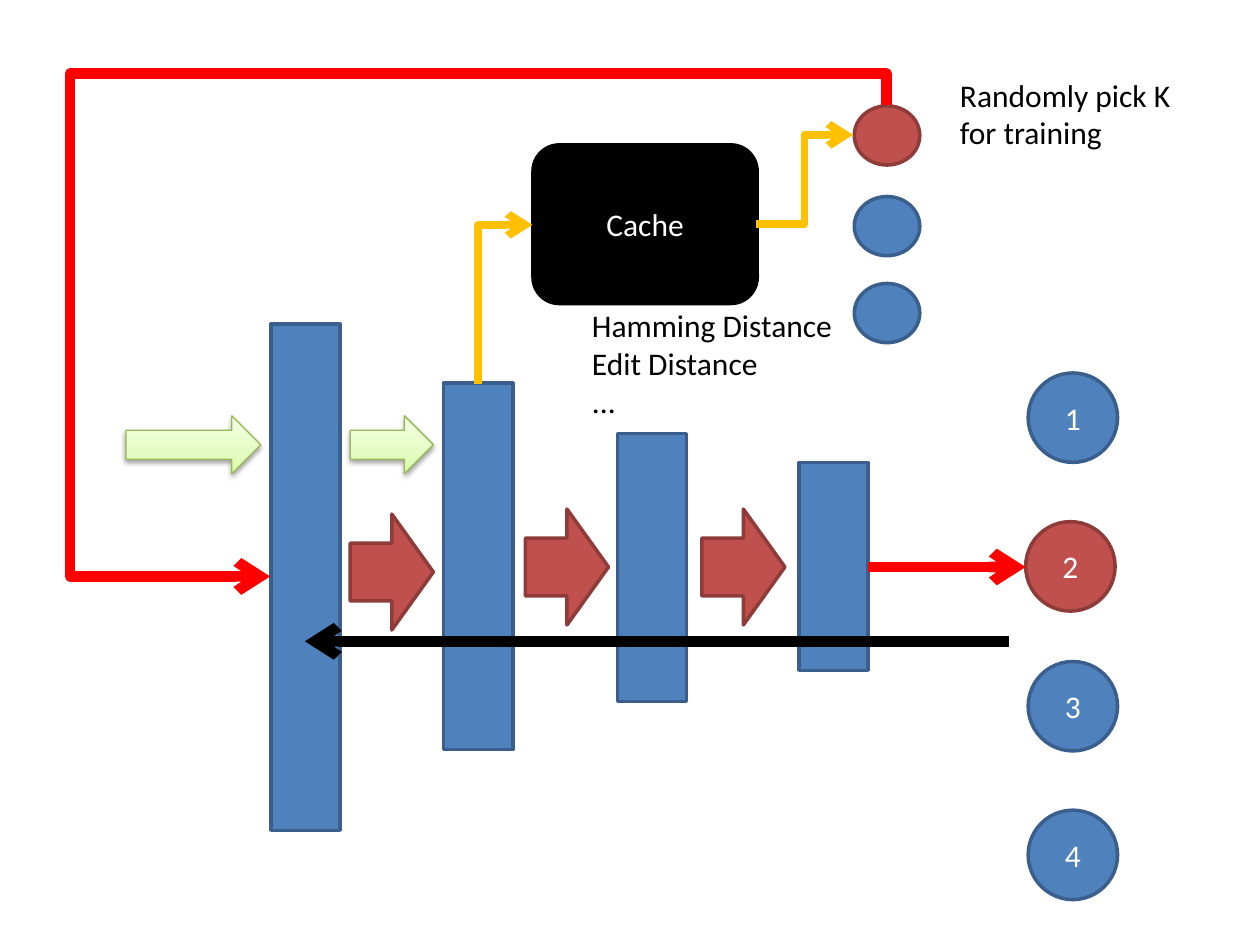
from lxml import etree
from pptx import Presentation, util as u
from pptx.dml.color import RGBColor
from pptx.enum import shapes, text
from pptx.oxml import parse_xml
from pptx.oxml.ns import nsdecls, qn

BLUE, BLUE_EDGE = RGBColor(0x4F, 0x81, 0xBD), RGBColor(0x3A, 0x5F, 0x8C)
BRICK, BRICK_EDGE = RGBColor(0xC0, 0x50, 0x4D), RGBColor(0x8E, 0x3B, 0x39)
GREEN_EDGE = RGBColor(0x98, 0xB9, 0x55)
GREENS = ((0, RGBColor(0xDA, 0xFD, 0xA7)), (35, RGBColor(0xE4, 0xFC, 0xC2)),
          (100, RGBColor(0xF5, 0xFF, 0xE7)))
BLACK, WHITE = RGBColor(0, 0, 0), RGBColor(255, 255, 255)
RED, AMBER = RGBColor(255, 0, 0), RGBColor(0xFF, 0xC0, 0)
KIND = shapes.MSO_SHAPE
COLUMNS, ROWS = 10, 7.5


def assign(target, values):
    for name, value in values.items():
        setattr(target, name, value)


class Diagram:
    """Style and current slide; lengths are columns and rows of the grid."""
    font = {"name": "Calibri", "size": u.Pt(18)}

    def __init__(self):
        self.deck = Presentation()
        assign(self.deck, {"slide_width": u.Inches(10), "slide_height": u.Inches(7.5)})
        self.page = self.deck.slides.add_slide(self.deck.slide_layouts[6])

    def place(self, left, top, width, height):
        column, row = self.deck.slide_width / COLUMNS, self.deck.slide_height / ROWS
        return [round(share * unit) for share, unit in
                ((left, column), (top, row), (width, column), (height, row))]

    def fill_text(self, frame, lines, color, align):
        for number, line in enumerate(lines):
            para = frame.add_paragraph() if number else frame.paragraphs[0]
            para.alignment = align
            span = para.add_run()
            span.text = line
            assign(span.font, self.font)
            span.font.color.rgb = color

    def block(self, kind, area, fill=BLUE, edge=BLUE_EDGE, label=None):
        box = self.page.shapes.add_shape(kind, *self.place(*area))
        box.shadow.inherit = False
        box.fill.solid()
        box.fill.fore_color.rgb = fill
        box.line.color.rgb = edge
        box.line.width = u.Pt(2)
        if label:
            box.text_frame.vertical_anchor = text.MSO_ANCHOR.MIDDLE
            self.fill_text(box.text_frame, [label], WHITE, text.PP_ALIGN.CENTER)
        return box

    def glossy_arrow(self, area):
        box = self.block(KIND.RIGHT_ARROW, area, edge=GREEN_EDGE)
        box.line.width = u.Pt(0.75)
        props = box._element.spPr
        stops = "".join(f'<a:gs pos="{share * 1000}"><a:srgbClr val="{color}"/></a:gs>'
                        for share, color in GREENS)
        props.replace(props.find(qn("a:solidFill")), parse_xml(
            f'<a:gradFill {nsdecls("a")} rotWithShape="1"><a:gsLst>{stops}</a:gsLst>'
            '<a:lin ang="16200000" scaled="0"/></a:gradFill>'))
        props.find(qn("a:effectLst")).append(parse_xml(
            f'<a:outerShdw {nsdecls("a")} blurRad="{u.Pt(3.1)}" dist="{u.Pt(1.6)}" '
            'dir="5400000" rotWithShape="0"><a:srgbClr val="000000">'
            '<a:alpha val="38000"/></a:srgbClr></a:outerShdw>'))

    def arrow(self, kind, start, end, color, weight):
        link = self.page.shapes.add_connector(kind, *self.place(*start, *end))
        link.line.color.rgb = color
        link.line.width = u.Pt(weight)
        props = link._element.spPr
        etree.SubElement(props.find(qn("a:ln")), qn("a:tailEnd"), type="arrow")
        etree.SubElement(props, qn("a:effectLst"))
        return props

    def elbow(self, preset, area, color, weight, turn=0, flips="V", bends=()):
        """Bent arrow: area before turning, flips along H and V, bends in percent."""
        left, top, width, height = area
        props = self.arrow(shapes.MSO_CONNECTOR.ELBOW, (left, top),
                           (left + width, top + height), color, weight)
        frame, outline = props.find(qn("a:xfrm")), props.find(qn("a:prstGeom"))
        frame.set("rot", str(turn * 60000))
        for axis in flips:
            frame.set("flip" + axis, "1")
        outline.set("prst", preset)
        guides = outline.find(qn("a:avLst"))
        for number, bend in enumerate(bends, 1):
            etree.SubElement(guides, qn("a:gd"), name=f"adj{number}",
                             fmla=f"val {round(bend * 1000)}")

    def note(self, area, lines):
        box = self.page.shapes.add_textbox(*self.place(*area))
        assign(box.text_frame, {"word_wrap": False,
                                "auto_size": text.MSO_AUTO_SIZE.SHAPE_TO_FIT_TEXT})
        self.fill_text(box.text_frame, lines, BLACK, text.PP_ALIGN.LEFT)


diagram = Diagram()

# Network layers up to the cache
for left, top, height in ((2.15, 2.57, 4.02), (3.52, 3.04, 2.91),
                          (4.9, 3.44, 2.13), (6.34, 3.67, 1.65)):
    diagram.block(KIND.RECTANGLE, (left, top, 0.55, height))

# Cache
diagram.block(KIND.ROUNDED_RECTANGLE, (4.23, 1.15, 1.78, 1.26), BLACK, BLACK, "Cache")

# Numbered outputs and cached candidates, with the chosen one in brick
chosen = {"fill": BRICK, "edge": BRICK_EDGE}
for number, top in enumerate((2.96, 4.14, 5.25, 6.43), 1):
    picked = number == 2
    diagram.block(KIND.OVAL, (8.14 if picked else 8.16, top, 0.71, 0.71),
                  label=str(number), **(chosen if picked else {}))
for top in (0.84, 1.56, 2.25):
    diagram.block(KIND.OVAL, (6.78, top, 0.52, 0.47), **(chosen if top < 1 else {}))

# Input arrows
for left, width in ((1, 1.07), (2.78, 0.66)):
    diagram.glossy_arrow((left, 3.3, width, 0.46))

# Routes through the cache and back to the first layer
diagram.elbow("bentConnector2", (3.38, 2.2, 1.26, 0.43), AMBER, 4.5, 90, "HV")
diagram.elbow("bentConnector3", (6, 1.07, 0.77, 0.71), AMBER, 4.5, bends=(50,))
diagram.elbow("bentConnector4", (2.72, 0.26, 3.74, 4.89), RED, 6, 270, "HV",
              (-6.7, 132.5))

# Forward arrows between layers
for left, top in ((2.78, 4.08), (4.17, 4.04), (5.57, 4.04)):
    diagram.block(KIND.RIGHT_ARROW, (left, top, 0.66, 0.92), **chosen)

# Prediction and backward pass
for start, end, color in (((6.89, 4.5), (8.14, 4.5), RED),
                          ((8.01, 5.09), (2.42, 5.09), BLACK)):
    diagram.arrow(shapes.MSO_CONNECTOR.STRAIGHT, start, end, color, 6)

# Notes
diagram.note((4.6, 2.38, 2.13, 1.01), ["Hamming Distance", "Edit Distance", "..."])
diagram.note((7.52, 0.55, 1.89, 0.71), ["Randomly pick K", "for training"])

diagram.deck.save("out.pptx")
